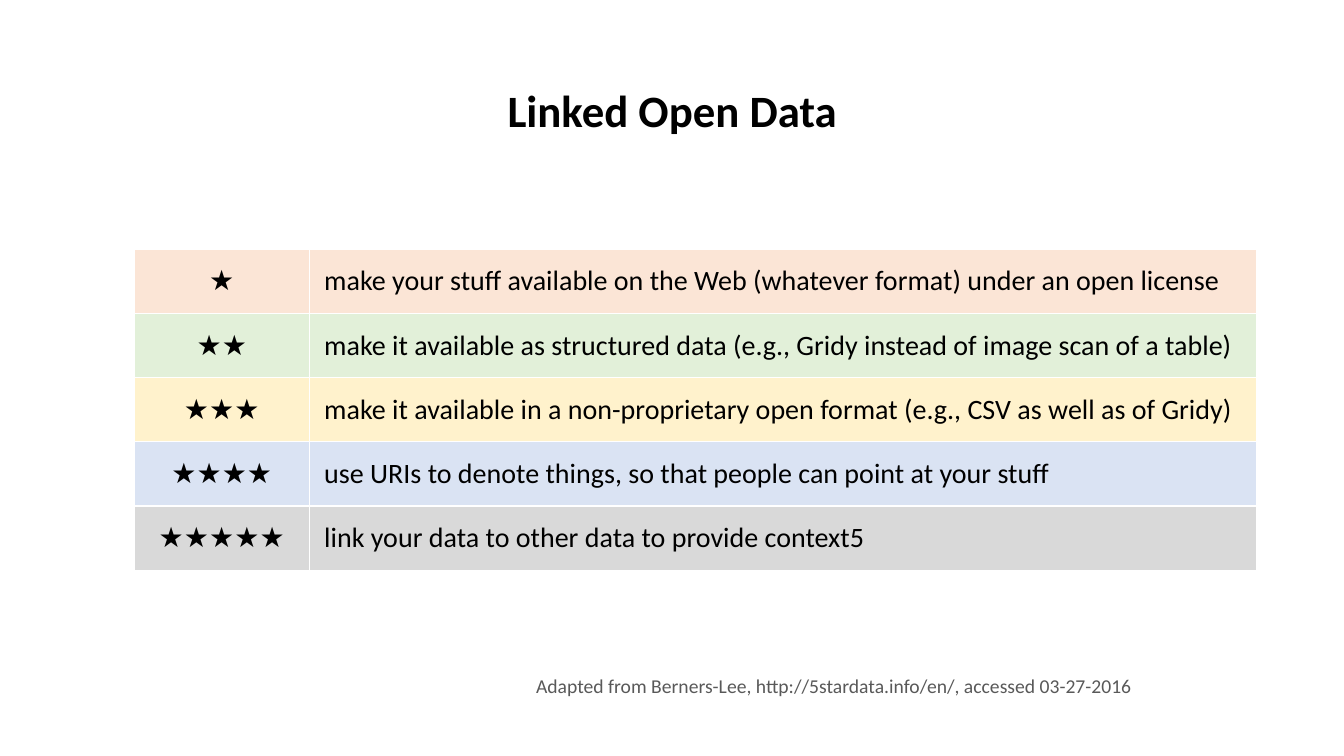
from lxml import etree
from pptx import Presentation
from pptx.dml.color import RGBColor
from pptx.enum.text import MSO_ANCHOR, PP_ALIGN
from pptx.oxml.ns import qn
from pptx.util import Inches, Pt

LEFT, CENTER = PP_ALIGN.LEFT, PP_ALIGN.CENTER
TOP, MIDDLE = MSO_ANCHOR.TOP, MSO_ANCHOR.MIDDLE

BLACK = RGBColor(0x00, 0x00, 0x00)
WHITE = RGBColor(0xFF, 0xFF, 0xFF)
SLATE = RGBColor(0x59, 0x59, 0x59)
PEACH = RGBColor(0xFB, 0xE5, 0xD6)
MINT = RGBColor(0xE2, 0xF0, 0xD9)
CREAM = RGBColor(0xFF, 0xF2, 0xCC)
SKY = RGBColor(0xDA, 0xE3, 0xF3)
SILVER = RGBColor(0xD9, 0xD9, 0xD9)

LEVELS = [
    ("make your stuff available on the Web (whatever format) under an open license", PEACH),
    ("make it available as structured data (e.g., Gridy instead of image scan of a table)", MINT),
    ("make it available in a non-proprietary open format (e.g., CSV as well as of Gridy)", CREAM),
    ("use URIs to denote things, so that people can point at your stuff", SKY),
    ("link your data to other data to provide context5", SILVER),
]


class SlideBuilder:
    """Draws styled elements on one slide, with lengths in percent of its size."""

    font_name = "Calibri"
    cell_margin = Inches(0.15)
    border_width = Pt(1)

    def __init__(self, deck):
        self.width, self.height = deck.slide_width, deck.slide_height
        self.slide = deck.slides.add_slide(deck.slide_layouts[6])

    def x(self, percent):
        return round(self.width * percent / 100)

    def y(self, percent):
        return round(self.height * percent / 100)

    def set_words(self, frame, words, size, color=BLACK, align=LEFT, bold=False):
        paragraph = frame.paragraphs[0]
        paragraph.text = words
        paragraph.alignment = align
        font = paragraph.font
        font.name, font.size, font.bold = self.font_name, Pt(size), bold
        font.color.rgb = color
        return paragraph

    def text(self, left, top, width, height, words, size, anchor=TOP, **style):
        box = self.slide.shapes.add_textbox(
            self.x(left), self.y(top), self.x(width), self.y(height))
        frame = box.text_frame
        frame.word_wrap = True
        frame.vertical_anchor = anchor
        return self.set_words(frame, words, size, **style)

    def border(self, cell):
        properties = cell._tc.get_or_add_tcPr()
        for position, side in enumerate(("lnL", "lnR", "lnT", "lnB")):
            line = etree.Element(qn(f"a:{side}"), w=str(self.border_width))
            fill = etree.SubElement(line, qn("a:solidFill"))
            etree.SubElement(fill, qn("a:srgbClr"), val=str(WHITE))
            properties.insert(position, line)

    def cell(self, cell, words, fill, align):
        cell.margin_left = cell.margin_right = self.cell_margin
        cell.margin_top = cell.margin_bottom = self.cell_margin
        cell.fill.solid()
        cell.fill.fore_color.rgb = fill
        self.border(cell)
        self.set_words(cell.text_frame, words, 20, align=align)

    def rating_table(self, left, top, column_widths, row_height, levels):
        table = self.slide.shapes.add_table(
            len(levels), len(column_widths), self.x(left), self.y(top),
            self.x(sum(column_widths)), self.y(row_height * len(levels))).table
        table.first_row = table.horz_banding = False
        for column, width in zip(table.columns, column_widths):
            column.width = self.x(width)
        for index, (advice, fill) in enumerate(levels):
            self.cell(table.cell(index, 0), "★" * (index + 1), fill, CENTER)
            self.cell(table.cell(index, 1), advice, fill, LEFT)


def main():
    deck = Presentation()
    deck.slide_width, deck.slide_height = Inches(13.33), Inches(7.5)
    builder = SlideBuilder(deck)
    title = builder.text(6.9, 5.33, 86.25, 19.33, "Linked Open Data", 32,
                         anchor=MIDDLE, align=CENTER, bold=True)
    title.line_spacing = 0.9
    builder.rating_table(10, 32.93, (13, 70.5), 8.5, LEVELS)
    builder.text(39.15, 88.53, 46.8, 4.53,
                 "Adapted from Berners-Lee, http://5stardata.info/en/, accessed 03-27-2016",
                 14, color=SLATE)
    deck.save("out.pptx")


if __name__ == "__main__":
    main()
